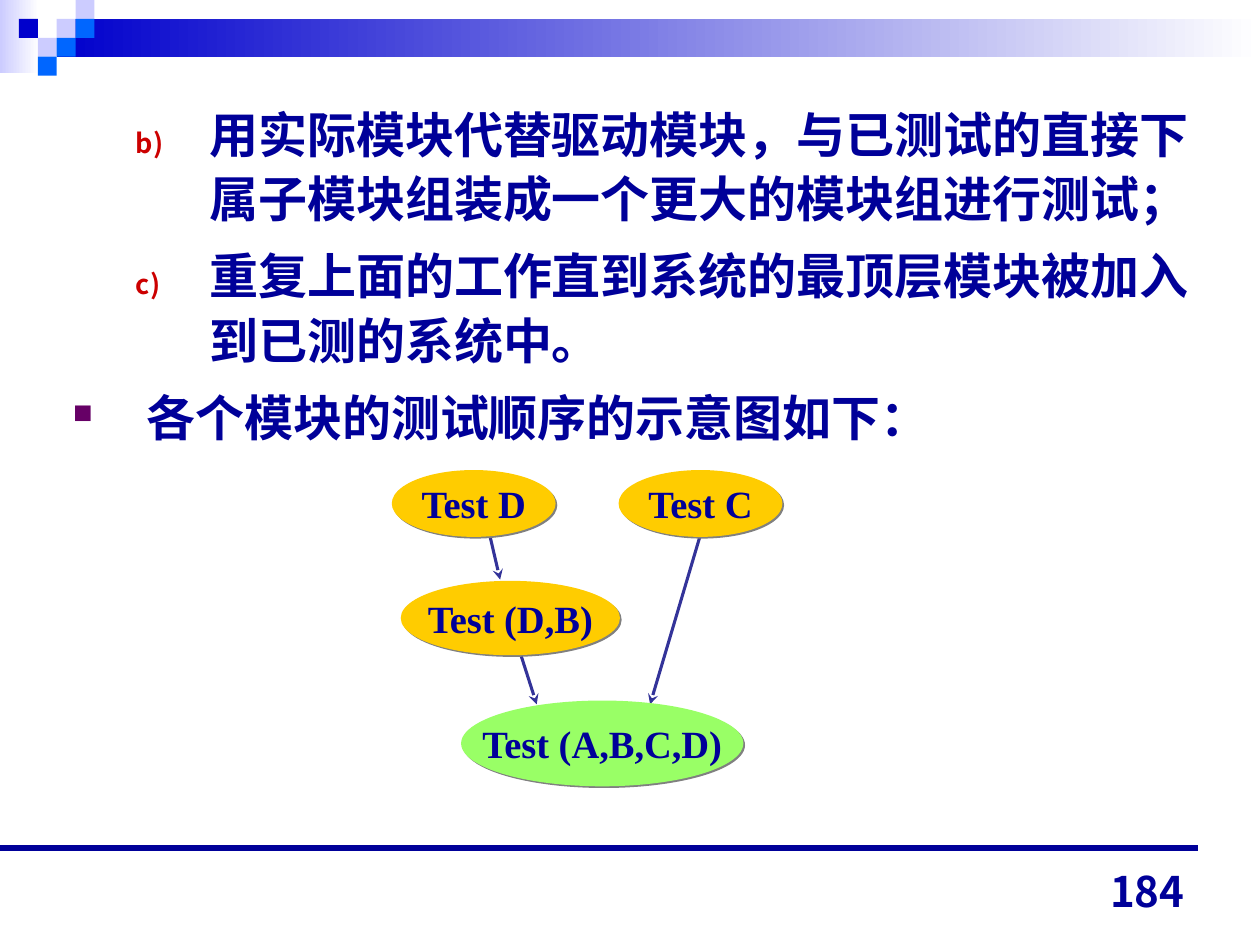
from dataclasses import dataclass

from lxml.etree import SubElement
from pptx import Presentation
from pptx.dml.color import RGBColor
from pptx.enum.shapes import MSO_CONNECTOR as CONN, MSO_SHAPE as SHAPE
from pptx.enum.text import MSO_ANCHOR as ANCHOR, PP_ALIGN as ALIGN
from pptx.oxml.ns import qn
from pptx.util import Pt


@dataclass(frozen=True)
class Theme:
    navy: str = "000099"
    blue: str = "0000CC"
    bright: str = "0066FF"
    pale: str = "CCCCFF"
    white: str = "FFFFFF"
    amber: str = "FFCC00"
    green: str = "99FF66"
    arrow: str = "333399"
    shadow: str = "808080"
    letter: str = "CC0000"
    square: str = "660066"
    serif: str = "Times New Roman"
    sans: str = "Noto Sans CJK JP"
    body_size: int = 28
    node_size: int = 22
    number_size: int = 24


T = Theme()

LETTER, SQUARE = "letter", "square"
BODY = [
    (LETTER, "用实际模块代替驱动模块，与已测试的直接下属子模块组装成一个更大的模块组进行测试；"),
    (LETTER, "重复上面的工作直到系统的最顶层模块被加入到已测的系统中。"),
    (SQUARE, "各个模块的测试顺序的示意图如下："),
]
# bullet kind: level, left margin, bullet colour
BULLETS = {LETTER: (1, 78, T.letter), SQUARE: (0, 42, T.square)}
HANGING = 42

# text, left, top, width, height, fill
NODES = [
    ("Test D", 223.9, 268.6, 93.6, 38.2, T.amber),
    ("Test (D,B)", 229, 331.9, 125.3, 42.5, T.amber),
    ("Test (A,B,C,D)", 263.5, 400.3, 161.3, 49, T.green),
    ("Test C", 353.5, 268.6, 93.6, 38.2, T.amber),
]
# from x, y, to x, y
ARROWS = [
    (279.4, 303.8, 285.8, 331.2),
    (293.8, 362.2, 306.7, 402.5),
    (401, 303.1, 371.5, 402.5),
]

CELL = 10.8
# left, top, width, height, left colour, right colour
BANDS = [
    (0, 0, 22.3, 41.8, T.pale, T.white),
    (3 * CELL, CELL, 720 - 3 * CELL, 2 * CELL, T.blue, T.white),
]
# column, row, colour
MOSAIC = [
    (3, 1, T.pale), (4, 0, T.pale), (4, 1, T.bright), (2, 2, T.pale),
    (1, 1, T.blue), (3, 2, T.bright), (2, 3, T.bright),
]


def rgb(color):
    return RGBColor.from_string(color)


def add_el(parent, tag, **attrs):
    return SubElement(parent, qn(tag), attrs)


def set_font(p, name, size, color=T.navy):
    f = p.font
    f.name, f.size, f.bold = name, Pt(size), True
    f.color.rgb = rgb(color)


def add_shape(slide, kind, *box, fill=None):
    sp = slide.shapes.add_shape(kind, *map(Pt, box))
    sp.shadow.inherit = False
    sp.line.fill.background()
    if fill:
        sp.fill.solid()
        sp.fill.fore_color.rgb = rgb(fill)
    return sp


def add_line(slide, ends, color, width):
    line = slide.shapes.add_connector(CONN.STRAIGHT, *map(Pt, ends))
    line.line.color.rgb = rgb(color)
    line.line.width = Pt(width)
    add_el(line._element.spPr, "a:effectLst")
    return line


def add_text(slide, *box):
    tf = slide.shapes.add_textbox(*map(Pt, box)).text_frame
    tf.word_wrap = True
    return tf


def add_header(slide):
    for *box, left, right in BANDS:
        fill = add_shape(slide, SHAPE.RECTANGLE, *box).fill
        fill.gradient()
        fill.gradient_angle = 0
        for stop, color in zip(fill.gradient_stops, (left, right)):
            stop.color.rgb = rgb(color)
    for col, row, color in MOSAIC:
        add_shape(slide, SHAPE.RECTANGLE, col * CELL, row * CELL, CELL, CELL, fill=color)


def set_bullet(p, kind):
    p.level, margin, color = BULLETS[kind]
    pPr = p._p.get_or_add_pPr()
    pPr.set("marL", str(Pt(margin)))
    pPr.set("indent", str(-Pt(HANGING)))
    add_el(add_el(pPr, "a:buClr"), "a:srgbClr", val=color)
    add_el(pPr, "a:buSzPct", val="55000")
    if kind == LETTER:
        add_el(pPr, "a:buFont", typeface=T.sans)
        add_el(pPr, "a:buAutoNum", type="alphaLcParenR", startAt="2")
    else:
        add_el(pPr, "a:buFont", typeface="Wingdings", charset="2")
        add_el(pPr, "a:buChar", char="n")


def add_body(slide):
    tf = add_text(slide, 34.6, 52.6, 659.5, 433.4)
    for i, (kind, text) in enumerate(BODY):
        p = tf.add_paragraph() if i else tf.paragraphs[0]
        p.text = text
        set_bullet(p, kind)
        p.line_spacing = 1.1
        p.space_before = Pt(7 if i else 0)
        set_font(p, T.serif, T.body_size)


def add_node(slide, text, *box, fill):
    sp = add_shape(slide, SHAPE.OVAL, *box, fill=fill)
    effects = sp._element.spPr.find(qn("a:effectLst"))
    shadow = add_el(effects, "a:outerShdw", dist=str(Pt(1.4)), dir="2700000",
                    algn="ctr", rotWithShape="0")
    add_el(shadow, "a:srgbClr", val=T.shadow)
    tf = sp.text_frame
    tf.margin_left = tf.margin_right = tf.margin_top = tf.margin_bottom = 0
    tf.word_wrap = False
    tf.vertical_anchor = ANCHOR.MIDDLE
    p = tf.paragraphs[0]
    p.text, p.alignment = text, ALIGN.CENTER
    set_font(p, T.serif, T.node_size)


def add_diagram(slide):
    for ends in ARROWS:
        arrow = add_line(slide, ends, T.arrow, 1.75)
        add_el(arrow.line._get_or_add_ln(), "a:tailEnd", type="stealth")
    for text, *box, fill in NODES:
        add_node(slide, text, *box, fill=fill)


def add_page_number(slide, number):
    tf = add_text(slide, 516.2, 491, 167.8, 36)
    tf.vertical_anchor = ANCHOR.BOTTOM
    p = tf.paragraphs[0]
    p.text, p.alignment = number, ALIGN.RIGHT
    set_font(p, T.sans, T.number_size)


def main():
    prs = Presentation()
    prs.slide_width, prs.slide_height = Pt(720), Pt(540)
    slide = prs.slides.add_slide(prs.slide_layouts[6])
    add_header(slide)
    add_line(slide, (0, 484.6, 684.7, 484.6), T.navy, 3.25)
    add_body(slide)
    add_diagram(slide)
    add_page_number(slide, "184")
    prs.save("out.pptx")


if __name__ == "__main__":
    main()
